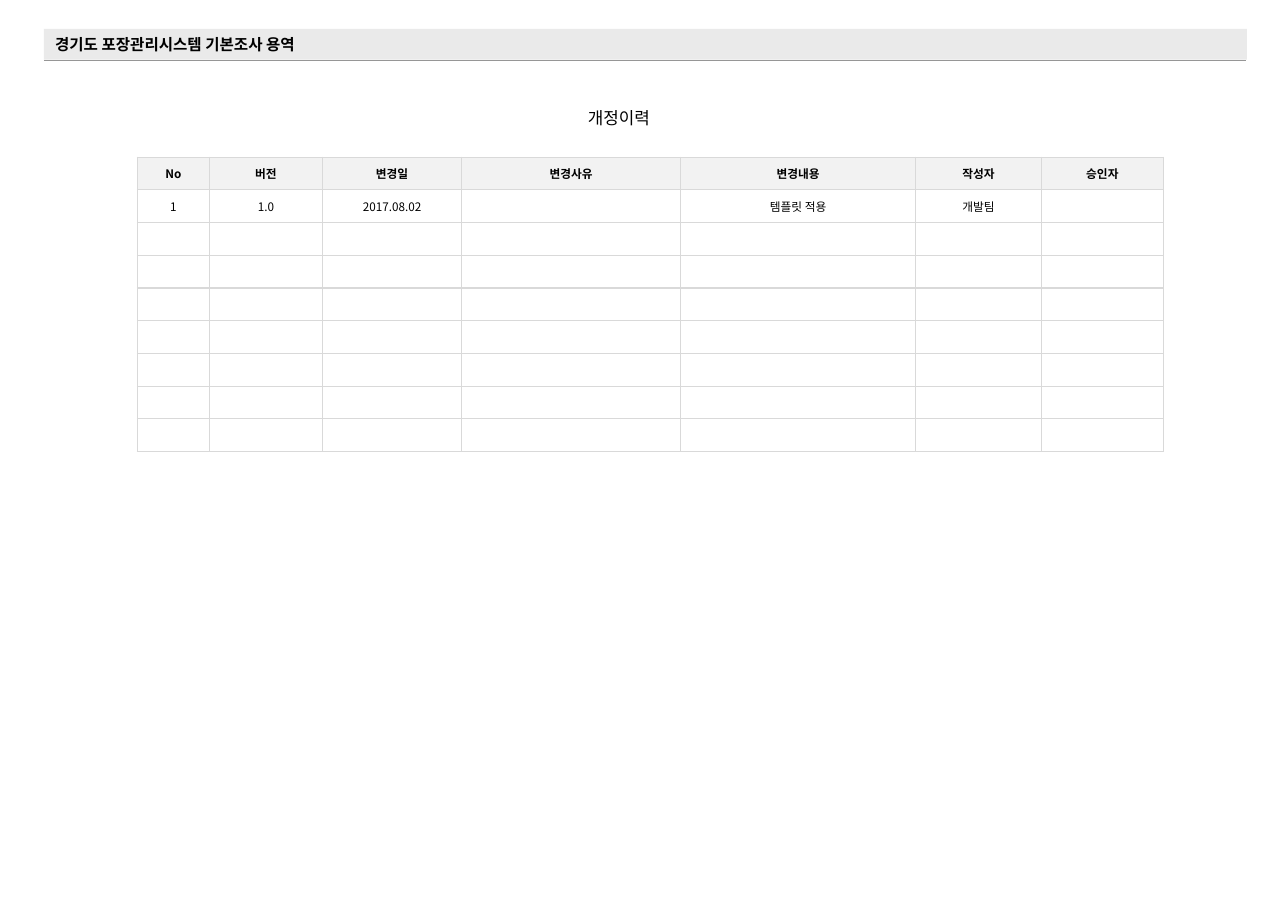
from lxml.etree import SubElement
from pptx import Presentation
from pptx.dml.color import RGBColor
from pptx.enum.shapes import MSO_CONNECTOR, MSO_SHAPE
from pptx.enum.text import MSO_ANCHOR, MSO_AUTO_SIZE, PP_ALIGN
from pptx.oxml.ns import qn
from pptx.util import Pt

PX = 9144  # EMU per px, 100 px to the inch
BLACK = RGBColor(0x00, 0x00, 0x00)
WHITE = RGBColor(0xFF, 0xFF, 0xFF)
BAND_GRAY = RGBColor(0xEA, 0xEA, 0xEA)
RULE_GRAY = RGBColor(0x96, 0x96, 0x96)
HEADER_GRAY = RGBColor(0xF2, 0xF2, 0xF2)
BORDER_GRAY = RGBColor(0xD9, 0xD9, 0xD9)
KOREAN_FONT = "Noto Sans CJK KR"

COLUMN_WIDTHS = [77, 121, 149, 234, 252, 134, 131]
ROW_COUNT = 9
ROW_HEIGHT = 35
REVISIONS = [
    ["No", "버전", "변경일", "변경사유", "변경내용", "작성자", "승인자"],
    ["1", "1.0", "2017.08.02", "", "템플릿 적용", "개발팀", ""],
]


class RevisionSlide:
    def __init__(self, slide):
        self.slide = slide
        self.shapes = slide.shapes

    def style(self, paragraph, size, bold=False, align=PP_ALIGN.CENTER, latin=KOREAN_FONT):
        paragraph.alignment = align
        font = paragraph.font
        font.size, font.bold, font.name = Pt(size), bold, latin
        font.color.rgb = BLACK
        SubElement(font._element, qn("a:ea"), typeface=KOREAN_FONT)

    def band(self, text, left, top, width, height):
        band = self.shapes.add_shape(
            MSO_SHAPE.RECTANGLE, left * PX, top * PX, width * PX, height * PX)
        band.shadow.inherit = False
        band.fill.solid()
        band.fill.fore_color.rgb = BAND_GRAY
        band.line.fill.background()
        frame = band.text_frame
        frame.word_wrap = True
        frame.vertical_anchor = MSO_ANCHOR.MIDDLE
        frame.margin_left = frame.margin_right = 12 * PX
        frame.margin_top = frame.margin_bottom = 6 * PX
        frame.text = text
        self.style(frame.paragraphs[0], 12, True, PP_ALIGN.LEFT, "Arial")

    def rule(self, left, right, y):
        rule = self.shapes.add_connector(
            MSO_CONNECTOR.STRAIGHT, left * PX, y * PX, right * PX, y * PX)
        rule.line.color.rgb = RULE_GRAY
        rule.line.width = Pt(0.75)
        SubElement(rule._element.spPr, qn("a:effectLst"))

    def title(self, text, left, top, width, height):
        title = self.shapes.title
        title.left, title.top = left * PX, top * PX
        title.width, title.height = width * PX, height * PX
        frame = title.text_frame
        frame.text = text
        frame.word_wrap = True
        frame.auto_size = MSO_AUTO_SIZE.NONE
        frame.vertical_anchor = MSO_ANCHOR.TOP
        self.style(frame.paragraphs[0], 13)

    def borders(self, cell):
        properties = cell._tc.get_or_add_tcPr()
        for position, side in enumerate(("a:lnL", "a:lnR", "a:lnT", "a:lnB")):
            border = SubElement(properties, qn(side), w=str(Pt(1)))
            fill = SubElement(border, qn("a:solidFill"))
            SubElement(fill, qn("a:srgbClr"), val=str(BORDER_GRAY))
            properties.insert(position, border)

    def table(self, left, top):
        table = self.shapes.add_table(
            ROW_COUNT, len(COLUMN_WIDTHS), left * PX, top * PX,
            sum(COLUMN_WIDTHS) * PX, ROW_COUNT * ROW_HEIGHT * PX).table
        table.horz_banding = False
        for column, width in zip(table.columns, COLUMN_WIDTHS):
            column.width = width * PX
        for row_number, row in enumerate(table.rows):
            is_header = row_number == 0
            for column_number, cell in enumerate(row.cells):
                self.borders(cell)
                cell.fill.solid()
                cell.fill.fore_color.rgb = HEADER_GRAY if is_header else WHITE
                cell.vertical_anchor = MSO_ANCHOR.MIDDLE
                cell.margin_top = cell.margin_bottom = 0
                if row_number < len(REVISIONS):
                    cell.text = REVISIONS[row_number][column_number]
                paragraph = cell.text_frame.paragraphs[0]
                self.style(paragraph, 9, is_header)
                # Keeps rows without text at their set height
                if not cell.text:
                    SubElement(paragraph._p, qn("a:endParaRPr"), sz="900")


def main():
    presentation = Presentation()
    presentation.slide_width, presentation.slide_height = 1378 * PX, 984 * PX
    page = RevisionSlide(presentation.slides.add_slide(presentation.slide_layouts[5]))

    # Project header
    page.band("경기도 포장관리시스템 기본조사 용역", 47, 31, 1287, 33)
    page.rule(47, 1333, 65)

    # Revision history
    page.table(147, 168)
    page.title("개정이력", 539, 110, 246, 35)

    presentation.save("out.pptx")


if __name__ == "__main__":
    main()
